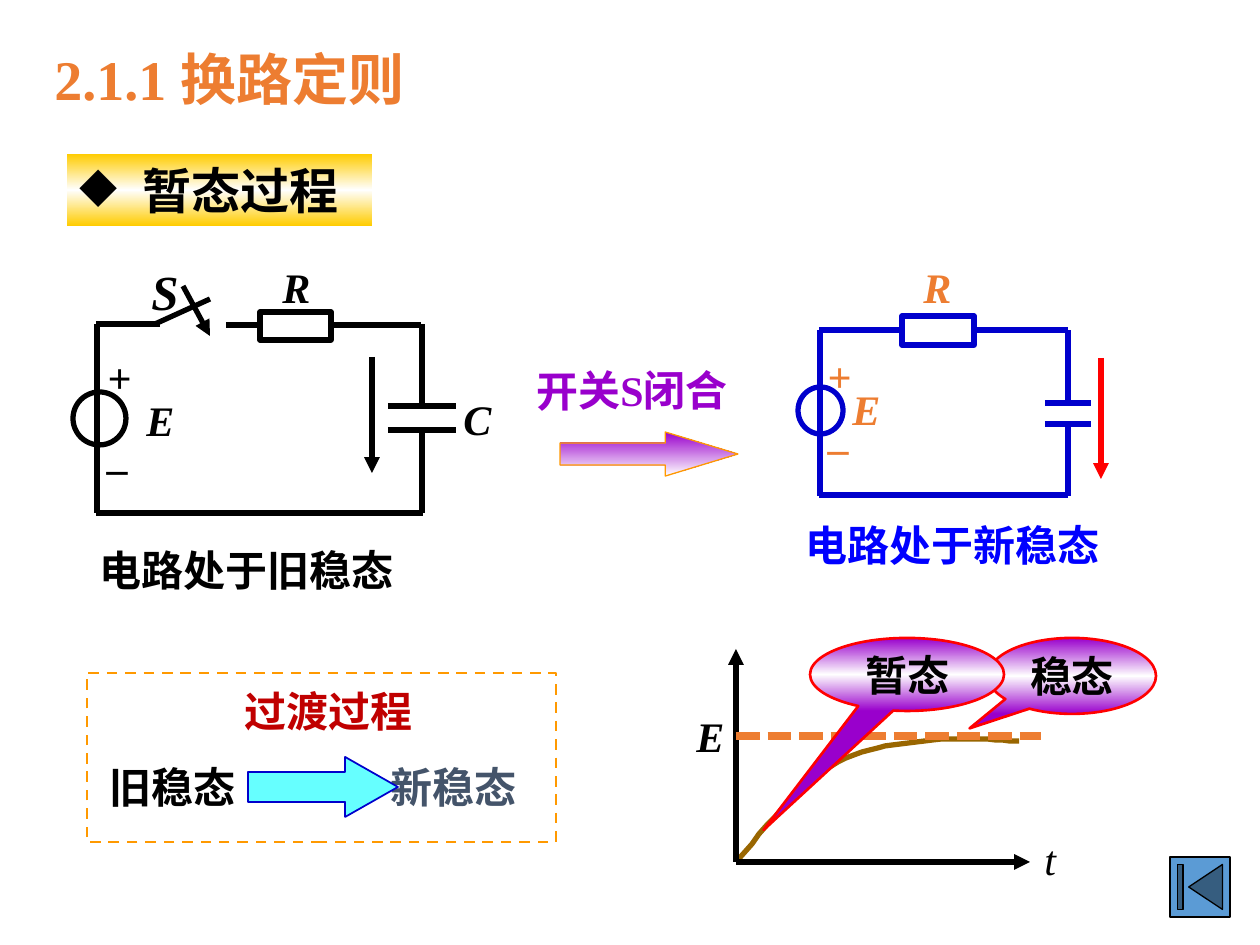
"""Build the slide on the switching rule and the transient process of an RC circuit."""
from copy import deepcopy

from lxml import etree
from pptx import Presentation
from pptx import util as u
from pptx.dml.color import RGBColor
from pptx.enum import dml, shapes, text
from pptx.oxml import ns

PX = u.Inches(1) / 126
BLACK = RGBColor(0x00, 0x00, 0x00)
WHITE = RGBColor(0xFF, 0xFF, 0xFF)
RED = RGBColor(0xFF, 0x00, 0x00)
DARK_RED = RGBColor(0xC0, 0x00, 0x00)
BLUE = RGBColor(0x00, 0x00, 0xFF)
NAVY = RGBColor(0x00, 0x00, 0xCC)
SKY = RGBColor(0x5B, 0x9B, 0xD5)
CYAN = RGBColor(0x66, 0xFF, 0xFF)
SLATE = RGBColor(0x44, 0x54, 0x6A)
ORANGE = RGBColor(0xED, 0x7D, 0x31)
AMBER = RGBColor(0xFF, 0x99, 0x00)
GOLD = RGBColor(0xFF, 0xCC, 0x00)
BROWN = RGBColor(0x99, 0x66, 0x00)
PURPLE = RGBColor(0x99, 0x00, 0xCC)
FORM = shapes.MSO_SHAPE


def add_form(kind, at, fills, outline=None, weight=3, adjust=()):
    form = page.shapes.add_shape(kind, *[round(n * PX) for n in at])
    form.shadow.inherit = False
    for index, value in enumerate(adjust):
        form.adjustments[index] = value
    if not fills:
        form.fill.background()
    elif len(fills) == 1:
        form.fill.solid()
        form.fill.fore_color.rgb = fills[0]
    else:
        form.fill.gradient()
        form.fill.gradient_angle = 270
        stops = form._element.spPr.find(".//" + ns.qn("a:gsLst"))
        while len(stops) < len(fills):
            stops.append(deepcopy(stops[0]))
        for index, stop in enumerate(form.fill.gradient_stops):
            stop.color.rgb = fills[index]
            stop.position = index / (len(fills) - 1)
    if outline is None:
        form.line.fill.background()
    else:
        form.line.color.rgb = outline
        form.line.width = u.Pt(weight)
    return form


def write(box, words, colour=BLACK, size=24, bold=True, italic=False, align=text.PP_ALIGN.LEFT,
          anchor=text.MSO_ANCHOR.TOP, wrap=True):
    frame = box.text_frame
    frame.word_wrap = wrap
    frame.vertical_anchor = anchor
    frame.text = words
    para = frame.paragraphs[0]
    para.alignment = align
    for span in para.runs:
        span.font.name = "Times New Roman"
        span.font.size = u.Pt(size)
        span.font.bold = bold
        span.font.italic = italic
        span.font.color.rgb = colour
    return para


deck = Presentation()
deck.slide_width = u.Inches(10)
deck.slide_height = u.Inches(7.5)
page = deck.slides.add_slide(deck.slide_layouts[6])

add_form(FORM.OVAL, (73, 392, 53, 53), [WHITE], BLACK)
add_form(FORM.OVAL, (798, 387, 45, 47), [WHITE], NAVY)
transition = add_form(FORM.RECTANGLE, (87, 673, 469, 169), [], AMBER, 1.5)
transition.line.dash_style = dml.MSO_LINE.DASH

points = []
knots = [(736, 862), (767, 825), (799, 787), (830, 767), (862, 747), (893, 745),
         (925, 741), (956, 736), (1004, 741), (1019, 741)]
for start in (0, 3, 6):
    for step in range(13):
        t = step / 12
        weights = ((1 - t) ** 3, 3 * t * (1 - t) ** 2, 3 * t * t * (1 - t), t ** 3)
        points.append(tuple(sum(w * knot[axis] for w, knot in zip(weights, knots[start:start + 4]))
                            for axis in (0, 1)))
builder = page.shapes.build_freeform(*points[0], scale=PX)
builder.add_line_segments(points[1:], close=False)
curve = builder.convert_to_shape()
curve.shadow.inherit = False
curve.fill.background()
curve.line.color.rgb = BROWN
curve.line.width = u.Pt(3)

old_wires = [(96, 513, 423, 513), (97, 324, 97, 513), (226, 325, 421, 325), (388, 406, 456, 406),
             (388, 430, 456, 430), (422, 406, 422, 324), (422, 513, 422, 430),
             (96, 324, 160, 324), (155, 324, 210, 299)]
new_wires = [(820, 330, 820, 496), (819, 330, 1068, 330), (1045, 403, 1091, 403),
             (1045, 424, 1091, 424), (1068, 403, 1068, 330), (1068, 496, 1068, 424),
             (819, 495, 1068, 495)]
black_arrows = [(183, 286, 210, 336), (372, 357, 372, 473),
                (736, 862, 1030, 862), (736, 862, 736, 649)]
red_arrows = [(1101, 358, 1101, 479)]
level = [(736, 736, 1041, 736)]
for group, colour, weight, arrow, dash in [
        (old_wires, BLACK, 3, False, None), (new_wires, NAVY, 3, False, None),
        (black_arrows, BLACK, 3, True, None), (red_arrows, RED, 3, True, None),
        (level, ORANGE, 4.5, False, dml.MSO_LINE.SQUARE_DOT)]:
    for ends in group:
        wire = page.shapes.add_connector(shapes.MSO_CONNECTOR.STRAIGHT,
                                         *[round(n * PX) for n in ends])
        wire.line.color.rgb = colour
        wire.line.width = u.Pt(weight)
        if dash:
            wire.line.dash_style = dash
        if arrow:
            etree.SubElement(wire.line._get_or_add_ln(), ns.qn("a:tailEnd"), type="triangle")
        etree.SubElement(wire._element.spPr, ns.qn("a:effectLst"))

add_form(FORM.RECTANGLE, (260, 312, 71, 28), [WHITE], BLACK)
add_form(FORM.RECTANGLE, (902, 316, 72, 29), [WHITE], NAVY)

for words, at, adjust in [("稳态", (988, 638, 168, 76), (-0.61, 0.69)),
                          ("暂态", (810, 638, 194, 73), (-0.74, 2.13))]:
    callout = add_form(FORM.OVAL_CALLOUT, at, [PURPLE, WHITE, PURPLE], RED, 1.5, adjust)
    write(callout, words, align=text.PP_ALIGN.CENTER, anchor=text.MSO_ANCHOR.MIDDLE, wrap=False)

for words, at, colour, style in [
        ("2.1.1 换路定则", (42, 38, 415, 84), ORANGE, {"size": 32}),
        ("t", (1032, 827, 63, 64), BLACK, {"bold": False, "italic": True}),
        ("E", (684, 704, 50, 64), BLACK, {"italic": True}),
        ("C", (451, 387, 83, 63), BLACK, {"italic": True}),
        ("S", (139, 255, 54, 72), BLACK, {"size": 28, "italic": True}),
        ("R", (270, 255, 54, 64), BLACK, {"italic": True}),
        ("E", (134, 388, 54, 64), BLACK, {"italic": True}),
        ("+", (95, 345, 49, 64), BLACK, {"italic": True}),
        ("_", (97, 421, 47, 64), BLACK, {"italic": True}),
        ("R", (911, 255, 54, 64), ORANGE, {"italic": True}),
        ("E", (840, 377, 54, 64), ORANGE, {"italic": True}),
        ("+", (815, 344, 49, 64), ORANGE, {"italic": True}),
        ("_", (818, 401, 47, 64), ORANGE, {"italic": True}),
        ("电路处于旧稳态", (87, 538, 372, 63), BLACK, {}),
        ("电路处于新稳态", (793, 513, 417, 64), BLUE, {}),
        ("过渡过程", (213, 679, 231, 63), DARK_RED,
         {"align": text.PP_ALIGN.CENTER, "anchor": text.MSO_ANCHOR.MIDDLE})]:
    label = page.shapes.add_textbox(*[round(n * PX) for n in at])
    write(label, words, colour, **style)

closing = page.shapes.add_textbox(*[round(n * PX) for n in (524, 358, 265, 64)])
closing.rotation = 359.6
write(closing, "开关S闭合", PURPLE)
add_form(FORM.RIGHT_ARROW, (560, 432, 178, 44), [PURPLE, WHITE], AMBER, 0.75, (0.5, 1.65))

states = page.shapes.add_textbox(*[round(n * PX) for n in (97, 751, 465, 72)])
para = write(states, "旧稳态\t新稳态", anchor=text.MSO_ANCHOR.MIDDLE)
tabs = etree.SubElement(para._p.get_or_add_pPr(), ns.qn("a:tabLst"))
etree.SubElement(tabs, ns.qn("a:tab"), pos=str(round(281 * PX)), algn="l")
para.runs[0].text = "旧稳态\t"
span = para.add_run()
span.text = "新稳态"
span.font.name = "Times New Roman"
span.font.size = u.Pt(24)
span.font.bold = True
span.font.color.rgb = SLATE
add_form(FORM.RIGHT_ARROW, (248, 757, 150, 60), [CYAN], NAVY, 1, (0.5, 0.88))

heading = add_form(FORM.RECTANGLE, (67, 154, 305, 72), [GOLD, WHITE, GOLD])
para = write(heading, "暂态过程", size=28)
properties = para._p.get_or_add_pPr()
properties.set("marL", str(round(63 * PX)))
properties.set("indent", str(round(-63 * PX)))
etree.SubElement(properties, ns.qn("a:buChar"), char="◆")

add_form(FORM.ACTION_BUTTON_BEGINNING, (1170, 857, 60, 60), [SKY], BLACK, 0.75)

deck.save("out.pptx")
